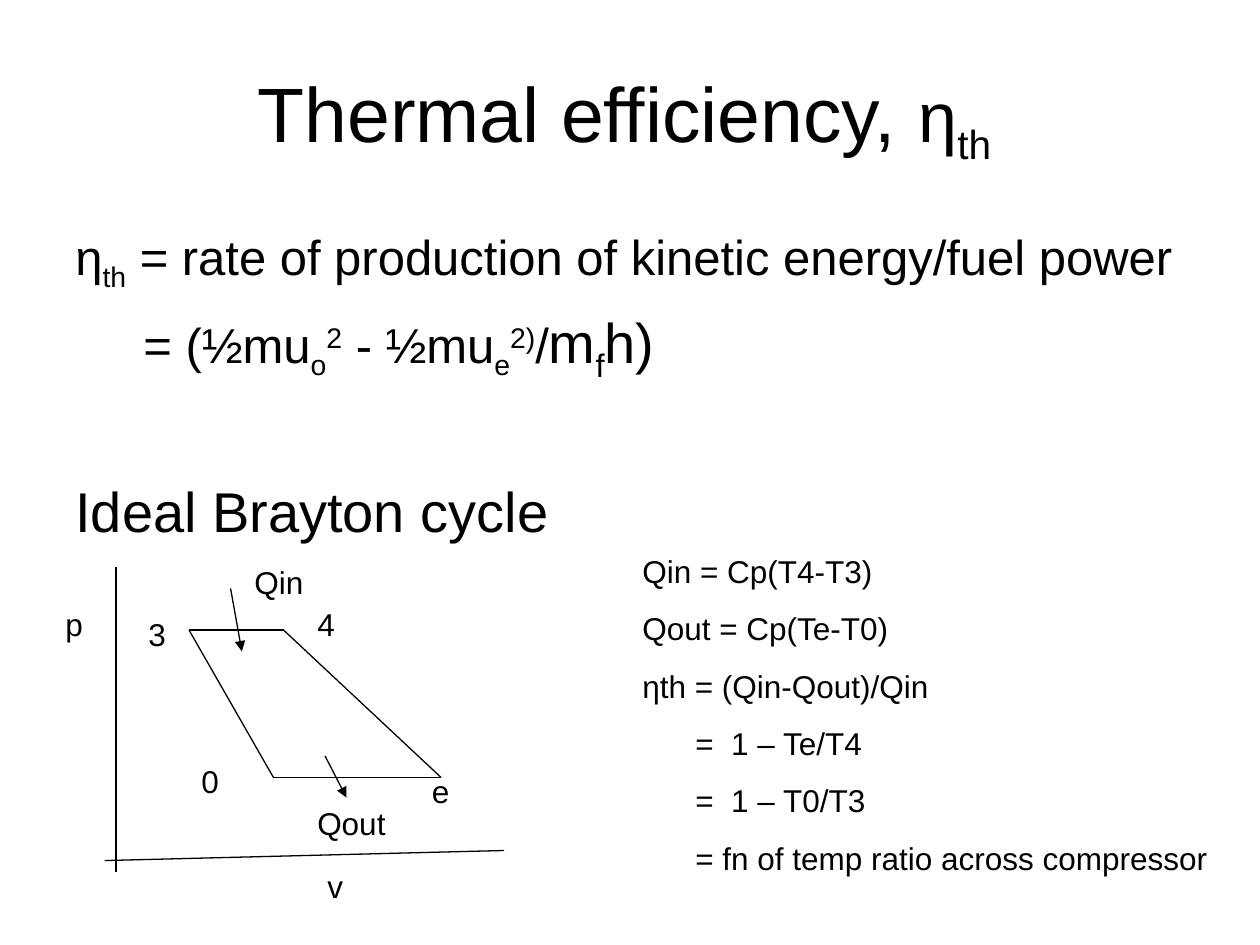
from dataclasses import dataclass
from itertools import pairwise

from lxml.etree import SubElement
from pptx import Presentation
from pptx.dml.color import RGBColor
from pptx.enum.shapes import MSO_CONNECTOR
from pptx.enum.text import MSO_ANCHOR, MSO_AUTO_SIZE, PP_ALIGN
from pptx.oxml.ns import qn
from pptx.slide import Slide
from pptx.util import Inches, Pt


@dataclass(frozen=True)
class Theme:
    font: str = "Arial"
    ink: RGBColor = RGBColor(0, 0, 0)
    line_width: float = 0.75
    title: int = 44
    title_symbol: int = 40
    body: int = 28
    large: int = 32
    label: int = 18
    label_gap: float = 11.2
    subscript: int = -25000
    superscript: int = 30000


THEME = Theme()


@dataclass(frozen=True)
class Span:
    text: str
    size: int
    baseline: int = 0


@dataclass(frozen=True)
class Line:
    spans: tuple[Span, ...]
    before: float = 0
    indent: float = 0


@dataclass(frozen=True)
class Label:
    text: str
    left: float
    top: float
    width: float


@dataclass(frozen=True)
class Segment:
    start: tuple[float, float]
    end: tuple[float, float]
    arrow: bool = False


def add_text(slide: Slide, lines: list[Line], *, left: float, top: float,
             width: float, height: float, align=PP_ALIGN.LEFT,
             anchor=MSO_ANCHOR.TOP, grow: bool = False) -> None:
    shape = slide.shapes.add_textbox(
        Inches(left), Inches(top), Inches(width), Inches(height))
    frame = shape.text_frame
    frame.word_wrap = True
    frame.vertical_anchor = anchor
    frame.auto_size = MSO_AUTO_SIZE.SHAPE_TO_FIT_TEXT if grow else MSO_AUTO_SIZE.NONE
    for index, line in enumerate(lines):
        paragraph = frame.add_paragraph() if index else frame.paragraphs[0]
        paragraph.alignment = align
        paragraph.space_before = Pt(line.before)
        if line.indent:
            paragraph._p.get_or_add_pPr().set("marL", str(Inches(line.indent)))
        for span in line.spans:
            run = paragraph.add_run()
            run.text = span.text
            run.font.name = THEME.font
            run.font.size = Pt(span.size)
            run.font.color.rgb = THEME.ink
            if span.baseline:
                run._r.get_or_add_rPr().set("baseline", str(span.baseline))


def add_segment(slide: Slide, segment: Segment) -> None:
    connector = slide.shapes.add_connector(
        MSO_CONNECTOR.STRAIGHT,
        *(Inches(value) for value in segment.start + segment.end))
    connector.line.color.rgb = THEME.ink
    connector.line.width = Pt(THEME.line_width)
    if segment.arrow:
        SubElement(connector.line._get_or_add_ln(), qn("a:tailEnd"), type="triangle")
    SubElement(connector._element.spPr, qn("a:effectLst"))


def label_line(text: str, indent: float = 0) -> Line:
    return Line((Span(text, THEME.label),), THEME.label_gap, indent)


def add_label(slide: Slide, label: Label) -> None:
    add_text(slide, [label_line(label.text)], left=label.left, top=label.top,
             width=label.width, height=0.4, grow=True)


TITLE = [Line((
    Span("Thermal efficiency, ", THEME.title),
    Span("η", THEME.title_symbol),
    Span("th ", THEME.title_symbol, THEME.subscript),
))]

BODY = [
    Line((
        Span("η", THEME.body),
        Span("th", THEME.body, THEME.subscript),
        Span(" = rate of production of kinetic energy/fuel power", THEME.body),
    ), before=7),
    Line((
        Span("= (½mu", THEME.body),
        Span("o", THEME.body, THEME.subscript),
        Span("2", THEME.body, THEME.superscript),
        Span(" - ½mu", THEME.body),
        Span("e", THEME.body, THEME.subscript),
        Span("2)", THEME.body, THEME.superscript),
        Span("/", THEME.body),
        Span("m", THEME.large),
        Span("f", THEME.large, THEME.subscript),
        Span("h)", THEME.large),
    ), before=8, indent=0.54),
    Line((Span("Ideal Brayton cycle", THEME.large),), before=52.8),
]

EQUATIONS = [
    label_line("Qin = Cp(T4-T3)"),
    label_line("Qout = Cp(Te-T0)"),
    label_line("ηth = (Qin-Qout)/Qin"),
    label_line("=  1 – Te/T4", 0.42),
    label_line("=  1 – T0/T3", 0.42),
    label_line("= fn of temp ratio across compressor", 0.42),
]

AXES = [
    Segment((0.83, 6.83), (4, 6.75)),
    Segment((0.92, 4.5), (0.92, 6.92)),
]

CYCLE_POINTS = [(1.5, 5), (2.25, 5), (3.5, 6.17), (2.17, 6.17), (1.5, 5)]
CYCLE = [Segment(start, end) for start, end in pairwise(CYCLE_POINTS)]

HEAT_FLOWS = [
    Segment((1.83, 4.67), (1.92, 5.17), arrow=True),
    Segment((2.58, 6), (2.75, 6.33), arrow=True),
]

LABELS = [
    Label("p", 0.42, 4.75, 0.42),
    Label("v", 2.5, 6.83, 0.5),
    Label("3", 1.08, 4.83, 0.42),
    Label("4", 2.42, 4.75, 0.25),
    Label("0", 1.5, 6, 0.25),
    Label("e", 3.33, 6.08, 0.33),
    Label("Qin", 1.92, 4.42, 0.75),
    Label("Qout", 2.42, 6.33, 0.83),
]


def main() -> None:
    presentation = Presentation()
    presentation.slide_width = Inches(10)
    presentation.slide_height = Inches(7.5)
    slide = presentation.slides.add_slide(presentation.slide_layouts[6])

    add_text(slide, TITLE, left=0.5, top=0.3, width=9, height=1.25,
             align=PP_ALIGN.CENTER, anchor=MSO_ANCHOR.MIDDLE)
    add_text(slide, BODY, left=0.5, top=1.75, width=9.17, height=5.5)
    for segment in AXES + CYCLE + HEAT_FLOWS:
        add_segment(slide, segment)
    for label in LABELS:
        add_label(slide, label)
    add_text(slide, EQUATIONS, left=5, top=4.33, width=4.83, height=2.68, grow=True)

    presentation.save("out.pptx")


if __name__ == "__main__":
    main()
